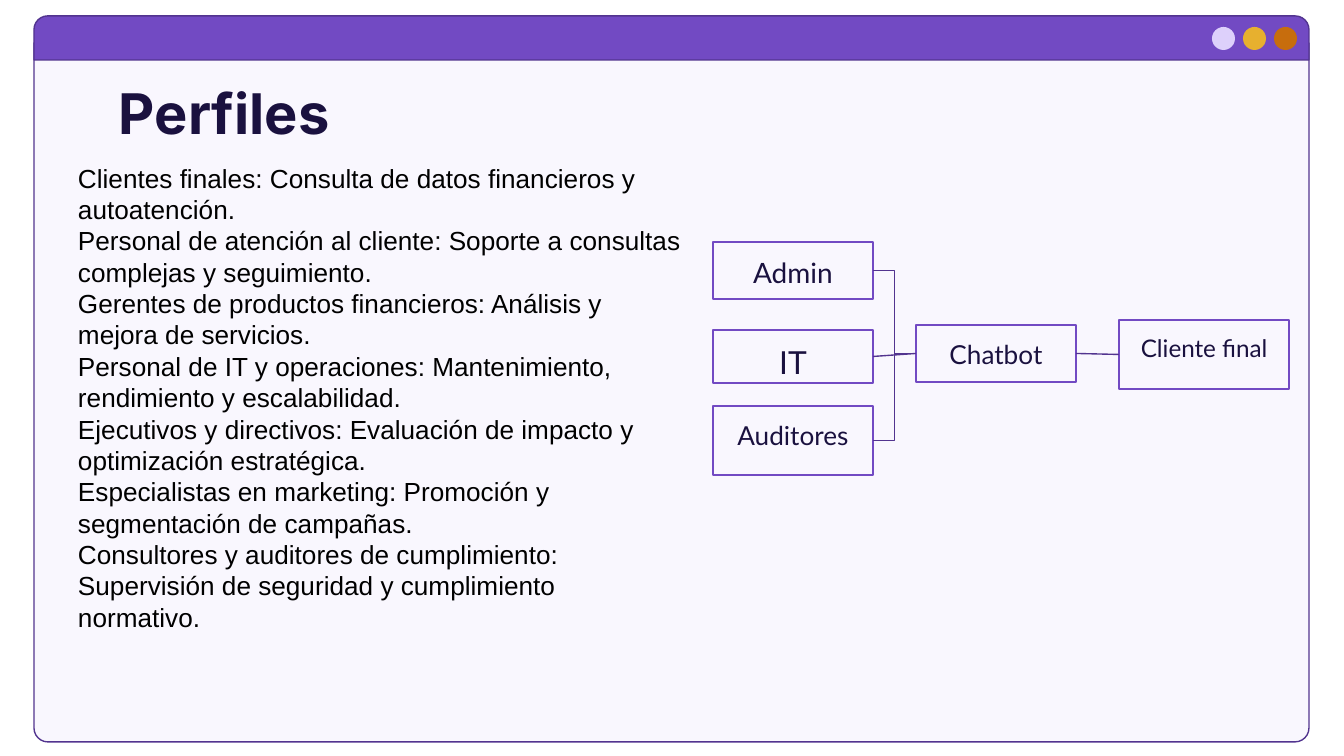
from lxml.etree import SubElement
from pptx import Presentation
from pptx.dml.color import RGBColor
from pptx.enum.shapes import MSO_CONNECTOR as CONN, MSO_SHAPE as SHAPE
from pptx.enum.text import MSO_ANCHOR as ANCHOR, PP_ALIGN as ALIGN
from pptx.oxml.ns import qn
from pptx.util import Emu, Pt

SCALE = 914400 / 134.4
INSET = 13
COLORS = {
    "header": "724AC3", "edge": "52348F", "lilac": "DDD0FB",
    "gold": "E7B02F", "orange": "C76D0D", "ink": "1A113F", "black": "000000",
}
PROFILES = [
    "Clientes finales: Consulta de datos financieros y autoatención.",
    "Personal de atención al cliente: Soporte a consultas complejas y seguimiento.",
    "Gerentes de productos financieros: Análisis y mejora de servicios.",
    "Personal de IT y operaciones: Mantenimiento, rendimiento y escalabilidad.",
    "Ejecutivos y directivos: Evaluación de impacto y optimización estratégica.",
    "Especialistas en marketing: Promoción y segmentación de campañas.",
    "Consultores y auditores de cumplimiento: Supervisión de seguridad y cumplimiento normativo.",
]
NODES = [
    ("Chatbot", 916, 325, 160, 57, 14),
    ("Cliente final", 1119, 320, 170, 69, 13),
    ("Admin", 713, 242, 160, 57, 15),
    ("IT", 713, 330, 160, 53, 17),
    ("Auditores", 713, 406, 160, 69, 14),
]
LINKS = [
    ("Admin", "Chatbot", CONN.ELBOW),
    ("Auditores", "Chatbot", CONN.ELBOW),
    ("IT", "Chatbot", CONN.STRAIGHT),
    ("Chatbot", "Cliente final", CONN.STRAIGHT),
]


def px(n):
    """Turn pixels into EMU."""
    return Emu(round(n * SCALE))


def rgb(name):
    """Look up a named colour."""
    return RGBColor.from_string(COLORS[name])


def add_shape(slide, kind, box, fill=None, line=None, adj=()):
    """Add a preset shape without shadow."""
    sp = slide.shapes.add_shape(kind, *map(px, box))
    sp.shadow.inherit = False
    for i, value in enumerate(adj):
        sp.adjustments[i] = value
    if fill:
        sp.fill.solid()
        sp.fill.fore_color.rgb = rgb(fill)
    else:
        sp.fill.background()
    if line:
        sp.line.color.rgb = rgb(line)
        sp.line.width = Pt(0.75)
    else:
        sp.line.fill.background()
    return sp


def set_text(sp, lines, font, size, color, bold=False, align=ALIGN.LEFT, spacing=None):
    """Write top-anchored paragraphs in one style."""
    tf = sp.text_frame
    tf.text = "\n".join(lines)
    tf.word_wrap = True
    tf.vertical_anchor = ANCHOR.TOP
    tf.margin_left = tf.margin_right = tf.margin_top = tf.margin_bottom = px(INSET)
    for p in tf.paragraphs:
        p.alignment = align
        p.line_spacing = spacing
        for r in p.runs:
            r.font.name, r.font.size, r.font.bold = font, Pt(size), bold
            r.font.color.rgb = rgb(color)


def add_text(slide, box, lines, *style, **options):
    """Add a text box."""
    set_text(slide.shapes.add_textbox(*map(px, box)), lines, *style, **options)


def add_window(slide):
    """Draw the window frame, its header and the three buttons."""
    frame = add_shape(slide, SHAPE.ROUND_2_SAME_RECTANGLE, (34, 43, 1275, 699),
                      "lilac", "edge", (0, 0.02))
    color = frame.fill._xPr.find(qn("a:solidFill"))[0]
    SubElement(color, qn("a:alpha"), val="15000")
    add_shape(slide, SHAPE.ROUND_2_SAME_RECTANGLE, (34, 16, 1275, 44),
              "header", "edge", (0.31, 0))
    for i, fill in enumerate(("lilac", "gold", "orange")):
        add_shape(slide, SHAPE.OVAL, (1212 + 31 * i, 27, 23, 23), fill)


def add_node(slide, label, x, y, w, h, size):
    """Add a labelled diagram box."""
    sp = add_shape(slide, SHAPE.RECTANGLE, (x, y, w, h), line="header")
    set_text(sp, [label], "Lato", size, "ink", align=ALIGN.CENTER)
    return sp


def add_link(slide, start, end, kind):
    """Join the right side of one box to the left side of another."""
    line = slide.shapes.add_connector(kind, 0, 0, 0, 0)
    line.begin_connect(start, 3)
    line.end_connect(end, 1)
    line.line.color.rgb = rgb("edge")
    line.line.width = Pt(0.75)
    SubElement(line._element.spPr, qn("a:effectLst"))


def main():
    """Build the profiles slide."""
    prs = Presentation()
    prs.slide_width, prs.slide_height = px(1344), px(756)
    slide = prs.slides.add_slide(prs.slide_layouts[6])
    add_window(slide)
    add_text(slide, (106, 66, 1133, 85), ["Perfiles"], "Inter", 30, "ink", bold=True)
    add_text(slide, (65, 149, 633, 534), PROFILES, "Arial", 14, "black", spacing=Pt(16.8))
    nodes = {node[0]: add_node(slide, *node) for node in NODES}
    for start, end, kind in LINKS:
        add_link(slide, nodes[start], nodes[end], kind)
    prs.save("out.pptx")


if __name__ == "__main__":
    main()
